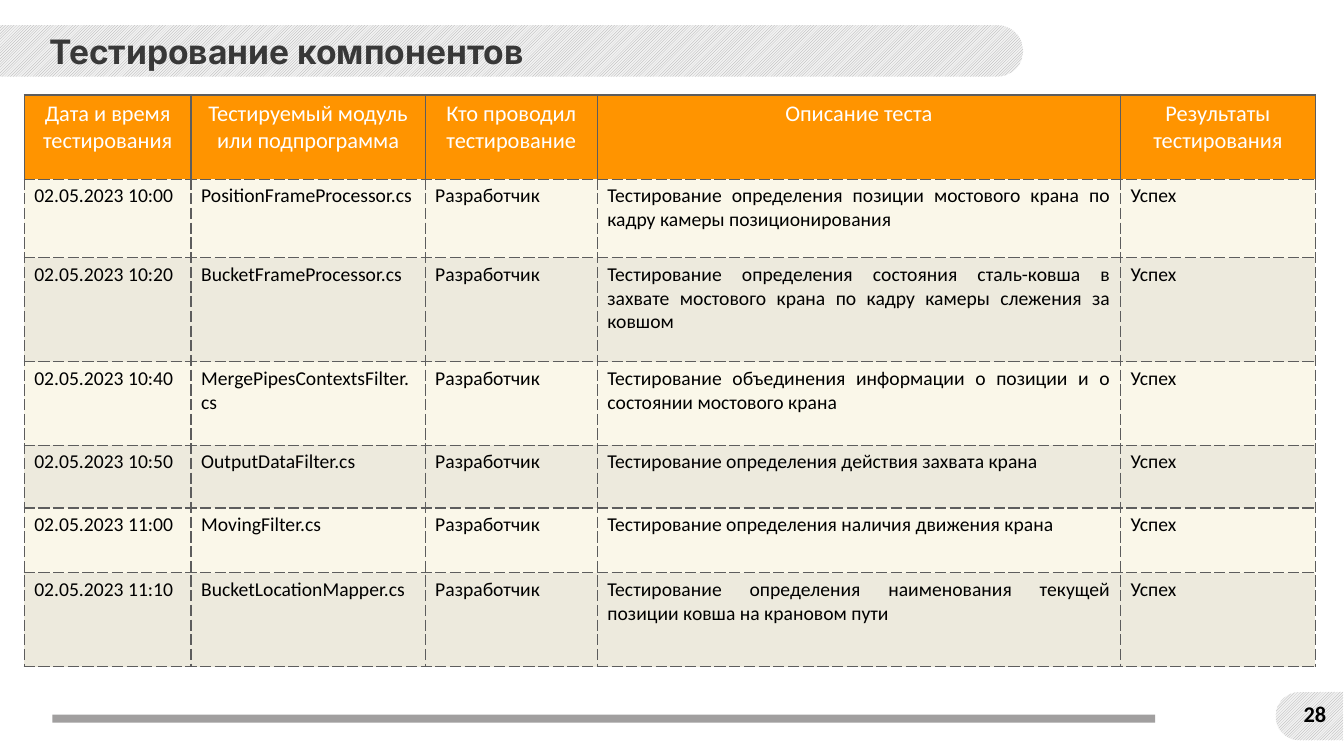
from dataclasses import dataclass

from lxml import etree
from pptx import Presentation
from pptx.dml.color import RGBColor
from pptx.enum.dml import MSO_PATTERN
from pptx.enum.shapes import MSO_SHAPE
from pptx.enum.text import MSO_ANCHOR, MSO_AUTO_SIZE, PP_ALIGN
from pptx.oxml.ns import qn
from pptx.shapes.autoshape import Shape
from pptx.slide import Slide
from pptx.table import _Cell
from pptx.util import Pt

HATCH = MSO_PATTERN.LIGHT_UPWARD_DIAGONAL
TAB_SHAPE = MSO_SHAPE.ROUND_2_SAME_RECTANGLE
ROUNDED, RECTANGLE = MSO_SHAPE.ROUNDED_RECTANGLE, MSO_SHAPE.RECTANGLE
LEFT, CENTER, JUSTIFY = PP_ALIGN.LEFT, PP_ALIGN.CENTER, PP_ALIGN.JUSTIFY
MIDDLE, FIT_SHAPE = MSO_ANCHOR.MIDDLE, MSO_AUTO_SIZE.SHAPE_TO_FIT_TEXT


@dataclass(frozen=True)
class Theme:
    title_font: str = "Inter"
    body_font: str = "Calibri"
    title_size: float = 24
    header_size: float = 16
    body_size: float = 14
    title: str = "383838"
    text: str = "000000"
    header_text: str = "FFFFFF"
    header_fill: str = "FF9400"
    row_fills: tuple[str, str] = ("FAF7E9", "EDEADD")
    border: str = "5D5D5D"
    hatch_front: str = "A6A6A6"
    hatch_back: str = "F2F2F2"
    rule: str = "A19F9F"


@dataclass(frozen=True)
class Box:
    left: float
    top: float
    width: float
    height: float

    def points(self) -> tuple[Pt, Pt, Pt, Pt]:
        return Pt(self.left), Pt(self.top), Pt(self.width), Pt(self.height)


@dataclass(frozen=True)
class HatchedTab:
    box: Box
    flipped: bool


@dataclass(frozen=True)
class TestRun:
    time: str
    module: str
    description: str
    height: float

    def cells(self) -> tuple[str, ...]:
        return f"02.05.2023 {self.time}", self.module, "Разработчик", self.description, "Успех"


THEME = Theme()
TABS = (
    HatchedTab(Box(347.04, -329.04, 36.72, 730.8), True),
    HatchedTab(Box(918, 487.44, 34.56, 48.24), False),
)
TITLE_BOX = Box(28.08, 18.72, 748.8, 36)
NUMBER_BOX = Box(925.2, 493.92, 28.08, 31.68)
RULE_BOX = Box(37.44, 510.48, 787.68, 5.76)
TABLE_LEFT, TABLE_TOP = 17.3, 67.8
COLUMN_WIDTHS = (119.2, 167.2, 123, 373.7, 139.2)
HEADER_HEIGHT = 60.2
HEADERS = (
    "Дата и время тестирования",
    "Тестируемый модуль или подпрограмма",
    "Кто проводил тестирование",
    "Описание теста",
    "Результаты тестирования",
)
RUNS = (
    TestRun("10:00", "PositionFrameProcessor.cs",
            "Тестирование определения позиции мостового крана по кадру камеры позиционирования", 56),
    TestRun("10:20", "BucketFrameProcessor.cs",
            "Тестирование определения состояния сталь-ковша в захвате мостового крана "
            "по кадру камеры слежения за ковшом", 74.5),
    TestRun("10:40", "MergePipesContextsFilter.cs",
            "Тестирование объединения информации о позиции и о состоянии мостового крана", 59.6),
    TestRun("10:50", "OutputDataFilter.cs", "Тестирование определения действия захвата крана", 44.8),
    TestRun("11:00", "MovingFilter.cs", "Тестирование определения наличия движения крана", 46.3),
    TestRun("11:10", "BucketLocationMapper.cs",
            "Тестирование определения наименования текущей позиции ковша на крановом пути", 67.1),
)


def write_text(holder: Shape | _Cell, text: str, font: str, size: float, color: str,
               alignment: PP_ALIGN, bold: bool = False) -> None:
    holder.text_frame.text = text
    para = holder.text_frame.paragraphs[0]
    para.alignment = alignment
    for span in para.runs:
        span.font.name = font
        span.font.size = Pt(size)
        span.font.bold = bold
        span.font.color.rgb = RGBColor.from_string(color)


def add_plain_shape(page: Slide, kind: MSO_SHAPE, box: Box) -> Shape:
    shape = page.shapes.add_shape(kind, *box.points())
    shape.shadow.inherit = False
    shape.line.fill.background()
    shape.fill.background()
    return shape


def add_hatched_tab(page: Slide, tab: HatchedTab) -> None:
    shape = add_plain_shape(page, TAB_SHAPE, tab.box)
    shape.adjustments[0] = 0.5
    shape.adjustments[1] = 0
    shape.rotation = 270
    if tab.flipped:
        shape.element.spPr.find(qn("a:xfrm")).set("flipV", "1")
    shape.fill.patterned()
    shape.fill.pattern = HATCH
    shape.fill.fore_color.rgb = RGBColor.from_string(THEME.hatch_front)
    shape.fill.back_color.rgb = RGBColor.from_string(THEME.hatch_back)


def add_page_number(page: Slide) -> None:
    shape = add_plain_shape(page, ROUNDED, NUMBER_BOX)
    shape.adjustments[0] = 0.095
    frame = shape.text_frame
    frame.margin_left = frame.margin_top = frame.margin_right = frame.margin_bottom = 0
    frame.vertical_anchor = MIDDLE
    write_text(shape, "28", THEME.body_font, THEME.header_size, THEME.text, CENTER, True)


def add_title(page: Slide) -> None:
    title = page.shapes.title
    title.left, title.top, title.width, title.height = TITLE_BOX.points()
    write_text(title, "Тестирование компонентов", THEME.title_font, THEME.title_size,
               THEME.title, LEFT, True)
    title.text_frame.vertical_anchor = MIDDLE
    title.text_frame.auto_size = FIT_SHAPE
    page.shapes.element.append(title.element)  # in front of the hatched band


def style_cell(cell: _Cell, fill: str, dashes: dict[str, str]) -> None:
    properties = cell._tc.get_or_add_tcPr()
    for side, dash in dashes.items():
        line = etree.SubElement(properties, qn(f"a:{side}"), w=str(Pt(1)))
        solid = etree.SubElement(line, qn("a:solidFill"))
        etree.SubElement(solid, qn("a:srgbClr"), val=THEME.border)
        etree.SubElement(line, qn("a:prstDash"), val=dash)
    cell.fill.solid()
    cell.fill.fore_color.rgb = RGBColor.from_string(fill)


def add_test_table(page: Slide) -> None:
    heights = (HEADER_HEIGHT, *(run.height for run in RUNS))
    box = Box(TABLE_LEFT, TABLE_TOP, sum(COLUMN_WIDTHS), sum(heights))
    table = page.shapes.add_table(len(heights), len(COLUMN_WIDTHS), *box.points()).table
    for column, width in zip(table.columns, COLUMN_WIDTHS):
        column.width = Pt(width)
    for index, texts in enumerate((HEADERS, *(run.cells() for run in RUNS))):
        table.rows[index].height = Pt(heights[index])
        header = index == 0
        fill = THEME.header_fill if header else THEME.row_fills[(index - 1) % 2]
        size = THEME.header_size if header else THEME.body_size
        color = THEME.header_text if header else THEME.text
        dash = "solid" if header else "lgDash"
        dashes = {"lnL": dash, "lnR": dash, "lnT": dash, "lnB": "lgDash"}
        for cell, text in zip(table.rows[index].cells, texts):
            write_text(cell, text, THEME.body_font, size, color, CENTER if header else JUSTIFY)
            style_cell(cell, fill, dashes)


def main() -> None:
    deck = Presentation()
    deck.slide_width, deck.slide_height = Pt(960), Pt(540)
    page = deck.slides.add_slide(deck.slide_layouts[5])

    # Page frame
    for tab in TABS:
        add_hatched_tab(page, tab)
    add_page_number(page)
    rule = add_plain_shape(page, RECTANGLE, RULE_BOX)
    rule.fill.solid()
    rule.fill.fore_color.rgb = RGBColor.from_string(THEME.rule)

    # Content
    add_title(page)
    add_test_table(page)
    deck.save("out.pptx")


if __name__ == "__main__":
    main()
